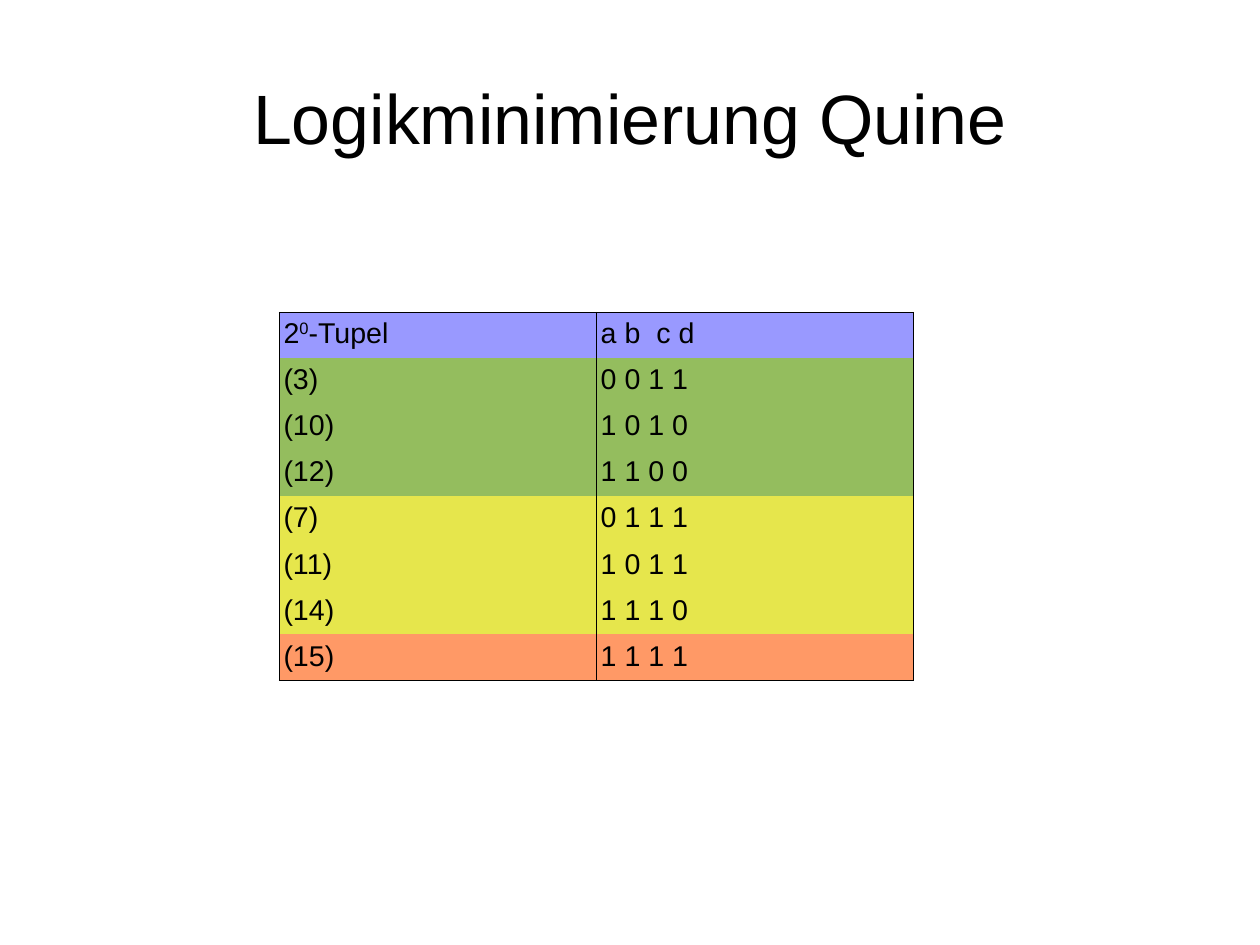
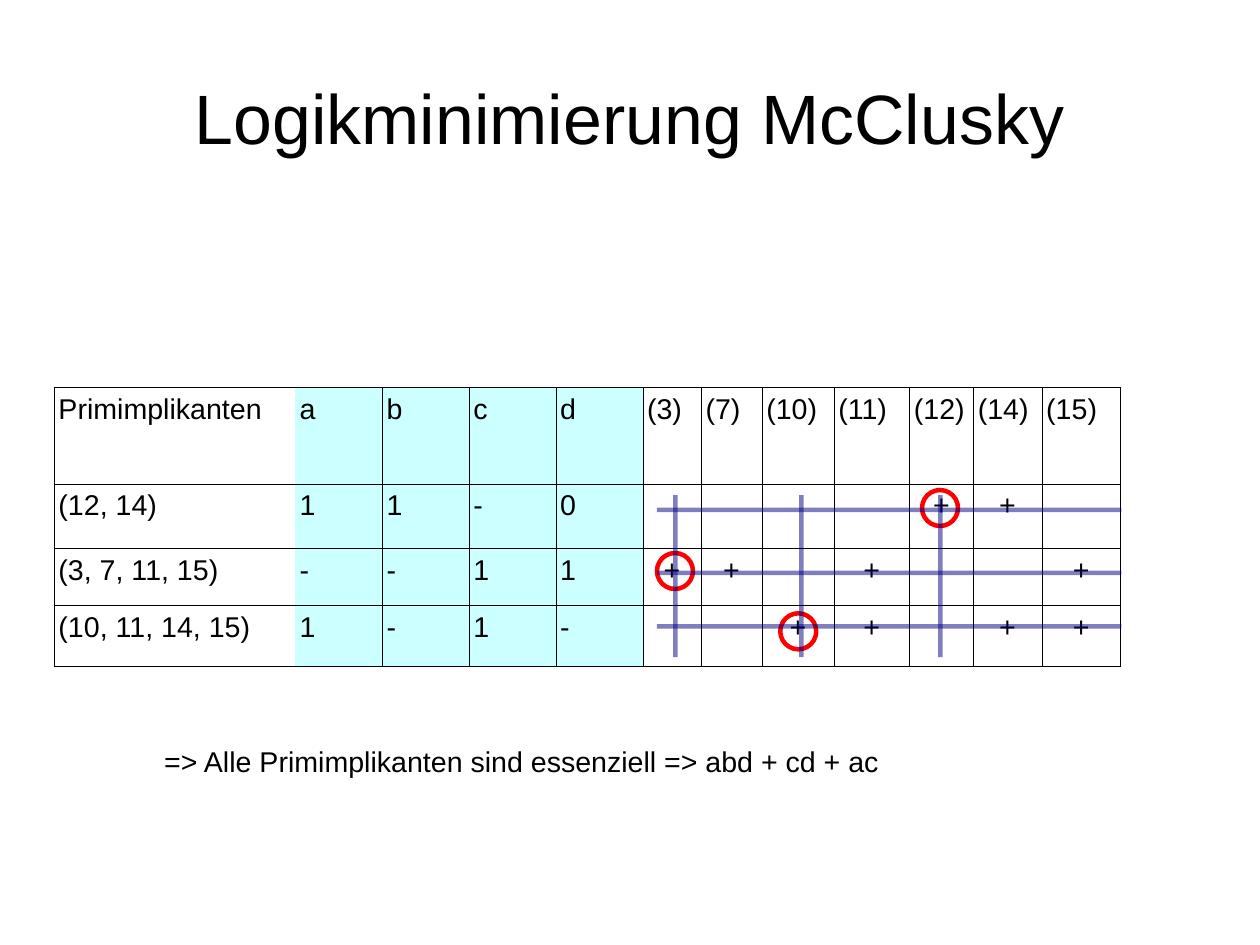
from dataclasses import dataclass

from lxml.etree import SubElement
from pptx import Presentation
from pptx.dml.color import RGBColor as RGB
from pptx.enum.shapes import MSO_CONNECTOR as Connector, MSO_SHAPE as Shape
from pptx.enum.text import MSO_ANCHOR as Anchor, PP_ALIGN as Align
from pptx.oxml.ns import qn
from pptx.util import Cm, Pt


@dataclass(frozen=True)
class Theme:
    font: str = "Arial"
    title_size: float = 44
    body_size: float = 18
    border_width: float = 0.06
    mark_width: float = 2.83
    text: str = "000000"
    header: str = "9999FF"
    variables: str = "CCFFFF"
    stroke: str = "000080"
    circle: str = "FF0000"


THEME = Theme()
PLAIN_TABLE = "{2D5ABB26-0587-4C30-8999-92F81FD0307C}"

# Content: minterms grouped by number of ones, with the group colour
TUPLE_HEADER = ([("2", 0), ("0", 33), ("-Tupel", 0)], "a b  c d")
TUPLE_GROUPS = [
    ((3, 10, 12), "94BD5E"),
    ((7, 11, 14), "E6E64C"),
    ((15,), "FF9966"),
]

# Content: prime implicants with their pattern and covered minterms
MINTERMS = (3, 7, 10, 11, 12, 14, 15)
IMPLICANTS = [
    ("11-0", (12, 14)),
    ("--11", (3, 7, 11, 15)),
    ("1-1-", (10, 11, 14, 15)),
]
COVER_WIDTHS = [5.36] + [1.93] * 4 + [1.3, 1.35, 1.6, 1.68, 1.42, 1.52, 1.75]
COVER_HEIGHTS = [2.15, 1.43, 1.26, 1.35]
CONCLUSION = "=> Alle Primimplikanten sind essenziell => abd + cd + ac"

# Essential marks: circle centre, then x and y of the two strokes
ESSENTIALS = [
    ((15.0, 12.69), 15.01, 12.73),
    ((17.74, 14.03), 17.81, 13.92),
    ((20.89, 11.29), 20.9, 11.33),
]
CIRCLE_SIZE = 0.8
STROKE_X = (14.6, 24.92)
STROKE_Y = (14.6, 11.0)


def set_all(target, values):
    for name, value in values.items():
        setattr(target, name, value)


def write(paragraph, content, size, align=Align.LEFT):
    """Write a string, or a list of (text, baseline percent) parts."""
    paragraph.alignment = align
    parts = [(content, 0)] if isinstance(content, str) else content
    for text, baseline in parts:
        run = paragraph.add_run()
        run.text = text
        set_all(run.font, {"name": THEME.font, "size": Pt(size)})
        run.font.color.rgb = RGB.from_string(THEME.text)
        if baseline:
            run.font._element.set("baseline", str(baseline * 1000))


def add_text(slide, text, box, size, align, frame_values):
    shape = slide.shapes.add_textbox(*map(Cm, box))
    set_all(shape.text_frame, frame_values)
    write(shape.text_frame.paragraphs[0], text, size, align)


def add_titled_slide(presentation, title):
    slide = presentation.slides.add_slide(presentation.slide_layouts[6])
    frame = {"word_wrap": True, "vertical_anchor": Anchor.MIDDLE}
    frame |= {f"margin_{side}": 0 for side in ("left", "right", "top", "bottom")}
    add_text(slide, title, (1.4, 0.84, 25.2, 3.51), THEME.title_size,
             Align.CENTER, frame)
    return slide


def add_border(cell, side):
    line = SubElement(cell._tc.get_or_add_tcPr(), qn(f"a:ln{side}"),
                      w=str(Pt(THEME.border_width)))
    SubElement(SubElement(line, qn("a:solidFill")), qn("a:srgbClr"), val=THEME.text)


def add_grid(slide, rows, corner, widths, heights, vertical, horizontal):
    """Rows hold (content, fill) cells; ruled grid lines are given by index."""
    graphic = slide.shapes.add_table(len(rows), len(widths), *map(Cm, corner),
                                     Cm(sum(widths)), Cm(sum(heights)))
    table = graphic.table
    set_all(table, {"first_row": False, "horz_banding": False})
    table._tbl.tblPr.find(qn("a:tableStyleId")).text = PLAIN_TABLE
    for column, width in zip(table.columns, widths):
        column.width = Cm(width)
    margins = {"margin_left": Cm(0.1), "margin_right": Cm(0.1),
               "margin_top": Cm(0.13), "margin_bottom": Cm(0.13)}
    for r, (row, height) in enumerate(zip(rows, heights)):
        table.rows[r].height = Cm(height)
        for c, (content, fill) in enumerate(row):
            cell = table.cell(r, c)
            set_all(cell, margins)
            for side, ruled in (("L", c in vertical), ("R", c + 1 in vertical),
                                ("T", r in horizontal), ("B", r + 1 in horizontal)):
                if ruled:
                    add_border(cell, side)
            if fill:
                cell.fill.solid()
                cell.fill.fore_color.rgb = RGB.from_string(fill)
            else:
                cell.fill.background()
            if content:
                align = Align.CENTER if content == "+" else Align.LEFT
                write(cell.text_frame.paragraphs[0], content, THEME.body_size, align)


def add_circle(slide, centre):
    left, top = (Cm(value - CIRCLE_SIZE / 2) for value in centre)
    circle = slide.shapes.add_shape(Shape.OVAL, left, top,
                                    Cm(CIRCLE_SIZE), Cm(CIRCLE_SIZE))
    circle.shadow.inherit = False
    circle.fill.background()
    circle.line.color.rgb = RGB.from_string(THEME.circle)
    circle.line.width = Pt(THEME.mark_width)


def add_stroke(slide, *ends):
    """Draw a half-transparent line from x, y to x, y."""
    stroke = slide.shapes.add_connector(Connector.STRAIGHT, *map(Cm, ends))
    stroke.line.color.rgb = RGB.from_string(THEME.stroke)
    stroke.line.width = Pt(THEME.mark_width)
    properties = stroke._element.spPr
    SubElement(next(properties.iter(qn("a:srgbClr"))), qn("a:alpha"), val="50000")
    SubElement(properties, qn("a:effectLst"))


def build_quine(presentation):
    slide = add_titled_slide(presentation, "Logikminimierung Quine")
    rows = [[(content, THEME.header) for content in TUPLE_HEADER]]
    for minterms, colour in TUPLE_GROUPS:
        rows += [[(f"({n})", colour), (" ".join(f"{n:04b}"), colour)]
                 for n in minterms]
    add_grid(slide, rows, (6.2, 6.93), [7.05] * 2, [1.025] * len(rows),
             vertical=range(3), horizontal=(0, len(rows)))


def build_mcclusky(presentation):
    slide = add_titled_slide(presentation, "Logikminimierung McClusky")

    # Coverage table
    def cover_row(label, variables, entries):
        return ([(label, None)] + [(v, THEME.variables) for v in variables]
                + [(entry, None) for entry in entries])

    rows = [cover_row("Primimplikanten", "abcd", [f"({n})" for n in MINTERMS])]
    rows += [cover_row(f"({', '.join(map(str, covered))})", pattern,
                       ["+" if n in covered else "" for n in MINTERMS])
             for pattern, covered in IMPLICANTS]
    unruled = {1, 5}  # both edges of the block of variables
    add_grid(slide, rows, (1.2, 8.61), COVER_WIDTHS, COVER_HEIGHTS,
             vertical=set(range(len(COVER_WIDTHS) + 1)) - unruled,
             horizontal=range(len(rows) + 1))

    # Essential implicants
    for centre, x, y in ESSENTIALS:
        add_circle(slide, centre)
        add_stroke(slide, x, STROKE_Y[0], x, STROKE_Y[1])
        add_stroke(slide, STROKE_X[0], y, STROKE_X[1], y)

    add_text(slide, CONCLUSION, (3.4, 16.41, 16.41, 1.04), THEME.body_size,
             Align.LEFT, {"word_wrap": False})


def main():
    presentation = Presentation()
    set_all(presentation, {"slide_width": Cm(28), "slide_height": Cm(21)})
    build_quine(presentation)
    build_mcclusky(presentation)
    presentation.save("out.pptx")


if __name__ == "__main__":
    main()
